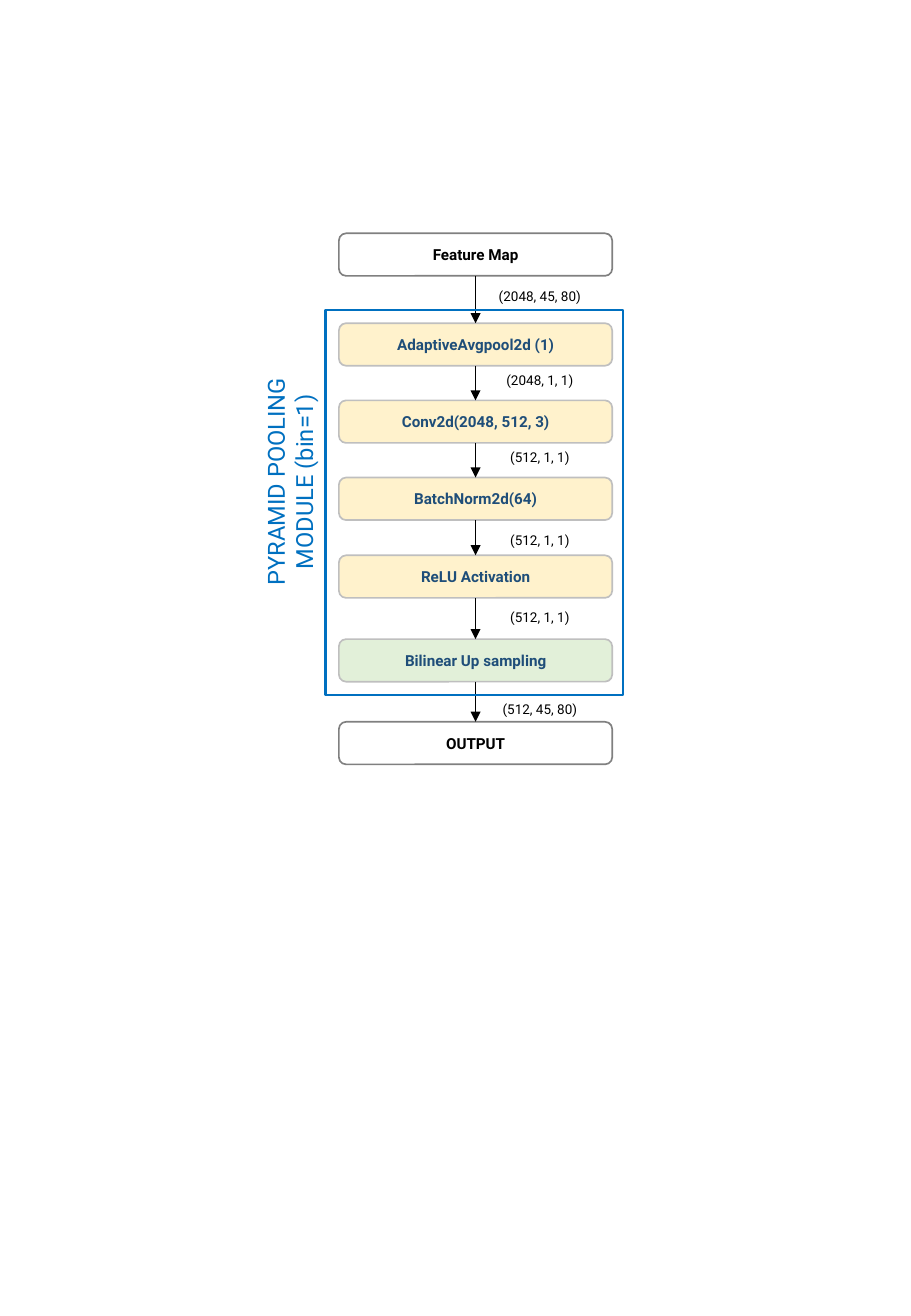
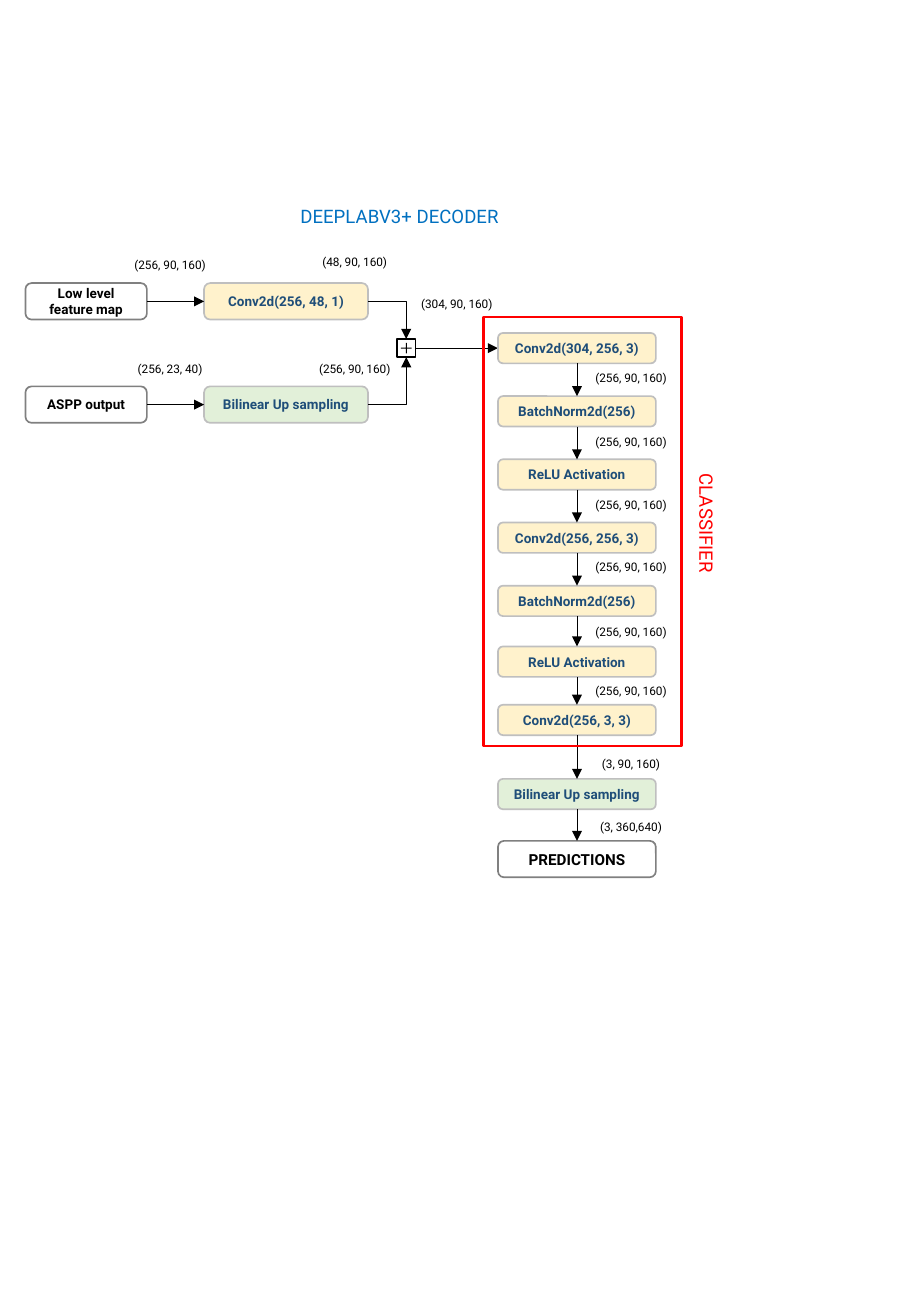
from pptx import Presentation
from pptx.dml.color import RGBColor
from pptx.enum.shapes import MSO_CONNECTOR, MSO_SHAPE
from pptx.enum.text import MSO_ANCHOR, MSO_AUTO_SIZE, PP_ALIGN
from pptx.util import Inches, Pt
from lxml.etree import SubElement
from pptx.oxml.ns import qn

WIDE, HIGH = 75, 108.3
FONT = "Roboto"
BLACK, BLUE, RED = "000000", "0070C0", "FF0000"
PLAIN = (None, "808080", BLACK)
LAYER = ("FFF2CC", "BFBFBF", "1F4E79")
SCALE = ("E2F0D9", "BFBFBF", "1F4E79")


def grid(*counts):
    return [Inches(count / 10) for count in counts]


def tint(code):
    return RGBColor.from_string(code)


def write(frame, text, size, color, bold=False):
    frame.word_wrap = True
    frame.text = text
    for para in frame.paragraphs:
        para.alignment = PP_ALIGN.CENTER
        para.line_spacing = 1.0
        for run in para.runs:
            font = run.font
            font.name, font.size, font.bold = FONT, Pt(size), bold
            font.color.rgb = tint(color)


def draw(slide, kind, place, fill=None, edge=None, weight=1):
    shape = slide.shapes.add_shape(kind, *grid(*place))
    shape.shadow.inherit = False
    if fill:
        shape.fill.solid()
        shape.fill.fore_color.rgb = tint(fill)
    else:
        shape.fill.background()
    if edge:
        shape.line.color.rgb = tint(edge)
        shape.line.width = Pt(weight)
    else:
        shape.line.fill.background()
    return shape


def block(slide, place, text, style, size):
    fill, edge, ink = style
    shape = draw(slide, MSO_SHAPE.ROUNDED_RECTANGLE, place, fill, edge)
    frame = shape.text_frame
    frame.vertical_anchor = MSO_ANCHOR.MIDDLE
    frame.margin_left = frame.margin_right = Inches(0.06)
    frame.margin_top = frame.margin_bottom = Inches(0.03)
    write(frame, text, size, ink, True)


def note(slide, place, text, size, color=BLACK, turn=0):
    label = slide.shapes.add_textbox(*grid(*place))
    label.rotation = turn
    write(label.text_frame, text, size, color)


def arrow(slide, start, end, bent=False):
    kind = MSO_CONNECTOR.ELBOW if bent else MSO_CONNECTOR.STRAIGHT
    link = slide.shapes.add_connector(kind, *grid(*start, *end))
    link.line.color.rgb = tint(BLACK)
    link.line.width = Pt(0.5)
    SubElement(link.line._get_or_add_ln(), qn("a:tailEnd"), type="triangle")
    props = link.element.spPr
    SubElement(props, qn("a:effectLst"))
    if bent:
        props.find(qn("a:prstGeom")).set("prst", "bentConnector2")


def stack(slide, left, width, steps, tags, tag_left, tag_width, tag_size):
    middle = left + width / 2
    for top, height, text, style, size in steps:
        block(slide, (left, top, width, height), text, style, size)
    for step, after in zip(steps, steps[1:]):
        arrow(slide, (middle, step[0] + step[1]), (middle, after[0]))
    for top, text in tags:
        note(slide, (tag_left, top, tag_width, 2.3), text, tag_size)


def start(deck, place, text, size, turn=0):
    slide = deck.slides.add_slide(deck.slide_layouts[5])
    title = slide.shapes.title
    title.left, title.top, title.width, title.height = grid(*place)
    title.rotation = turn
    frame = title.text_frame
    frame.auto_size = MSO_AUTO_SIZE.NONE
    frame.vertical_anchor = MSO_ANCHOR.TOP
    write(frame, text, size, BLUE)
    return slide


def pooling(deck):
    slide = start(deck, (13.2, 36.8, 21.3, 5.7),
                  "PYRAMID POOLING MODULE (bin=1)", 14, 270)
    rows = [
        (19.2, "Feature Map", PLAIN),
        (26.6, "AdaptiveAvgpool2d (1)", LAYER),
        (32.95, "Conv2d(2048, 512, 3)", LAYER),
        (39.3, "BatchNorm2d(64)", LAYER),
        (45.7, "ReLU Activation", LAYER),
        (52.6, "Bilinear Up sampling", SCALE),
        (59.4, "OUTPUT", PLAIN),
    ]
    tags = [
        (23.2, "(2048, 45, 80)"),
        (30.1, "(2048, 1, 1)"),
        (36.5, "(512, 1, 1)"),
        (43.3, "(512, 1, 1)"),
        (49.6, "(512, 1, 1)"),
        (57.2, "(512, 45, 80)"),
    ]
    steps = [(top, 3.5, text, style, 9) for top, text, style in rows]
    stack(slide, 27.9, 22.5, steps, tags, 39.5, 9.9, 8)
    draw(slide, MSO_SHAPE.RECTANGLE, (26.8, 25.5, 24.5, 31.7),
         edge=BLUE, weight=1.5)


def branches(slide):
    hub, reach = 33.45, 30.3
    rows = [
        (23.3, "Low level feature map", "Conv2d(256, 48, 1)", LAYER, 27.9),
        (31.8, "ASPP output", "Bilinear Up sampling", SCALE, 29.4),
    ]
    for top, source, layer, style, join in rows:
        middle = top + 1.5
        block(slide, (2.1, top, 10, 3), source, PLAIN, 8)
        block(slide, (16.8, top, 13.5, 3), layer, style, 8)
        arrow(slide, (12.1, middle), (16.8, middle))
        arrow(slide, (reach, middle), (hub, join), True)
    draw(slide, MSO_SHAPE.RECTANGLE, (32.7, 27.9, 1.5, 1.5), edge=BLACK)
    plus = draw(slide, MSO_SHAPE.MATH_PLUS, (32.85, 28.05, 1.2, 1.2), BLACK)
    plus.adjustments[0] = 0.07
    arrow(slide, (34.2, 28.65), (41, 28.65))
    tags = [
        (9.1, 20.7, "(256, 90, 160)"),
        (24.3, 20.5, "(48, 90, 160)"),
        (9.1, 29.3, "(256, 23, 40)"),
        (24.3, 29.3, "(256, 90, 160)"),
        (32.7, 23.9, "(304, 90, 160)"),
    ]
    for left, top, text in tags:
        note(slide, (left, top, 9.8, 2.2), text, 7)


def decoder(deck):
    slide = start(deck, (21.9, 16.4, 22, 2.9), "DEEPLABV3+ DECODER", 11)
    branches(slide)
    layers = [
        (27.4, "Conv2d(304, 256, 3)"),
        (32.6, "BatchNorm2d(256)"),
        (37.8, "ReLU Activation"),
        (43, "Conv2d(256, 256, 3)"),
        (48.2, "BatchNorm2d(256)"),
        (53.2, "ReLU Activation"),
        (58, "Conv2d(256, 3, 3)"),
    ]
    steps = [(top, 2.5, text, LAYER, 8) for top, text in layers]
    steps += [
        (64.1, 2.5, "Bilinear Up sampling", SCALE, 8),
        (69.2, 3, "PREDICTIONS", PLAIN, 9),
    ]
    tops = (30, 35.3, 40.5, 45.6, 50.9, 55.8)
    tags = [(top, "(256, 90, 160)") for top in tops]
    tags += [(61.8, "(3, 90, 160)"), (67, "(3, 360,640)")]
    stack(slide, 41, 13, steps, tags, 47.8, 8.3, 7)
    draw(slide, MSO_SHAPE.RECTANGLE, (39.8, 26.1, 16.3, 35.3),
         edge=RED, weight=1.5)
    note(slide, (49.7, 41.6, 16.9, 2.9), "CLASSIFIER", 11, RED, 90)


def main():
    deck = Presentation()
    deck.slide_width, deck.slide_height = grid(WIDE, HIGH)
    pooling(deck)
    decoder(deck)
    deck.save("out.pptx")


if __name__ == "__main__":
    main()
